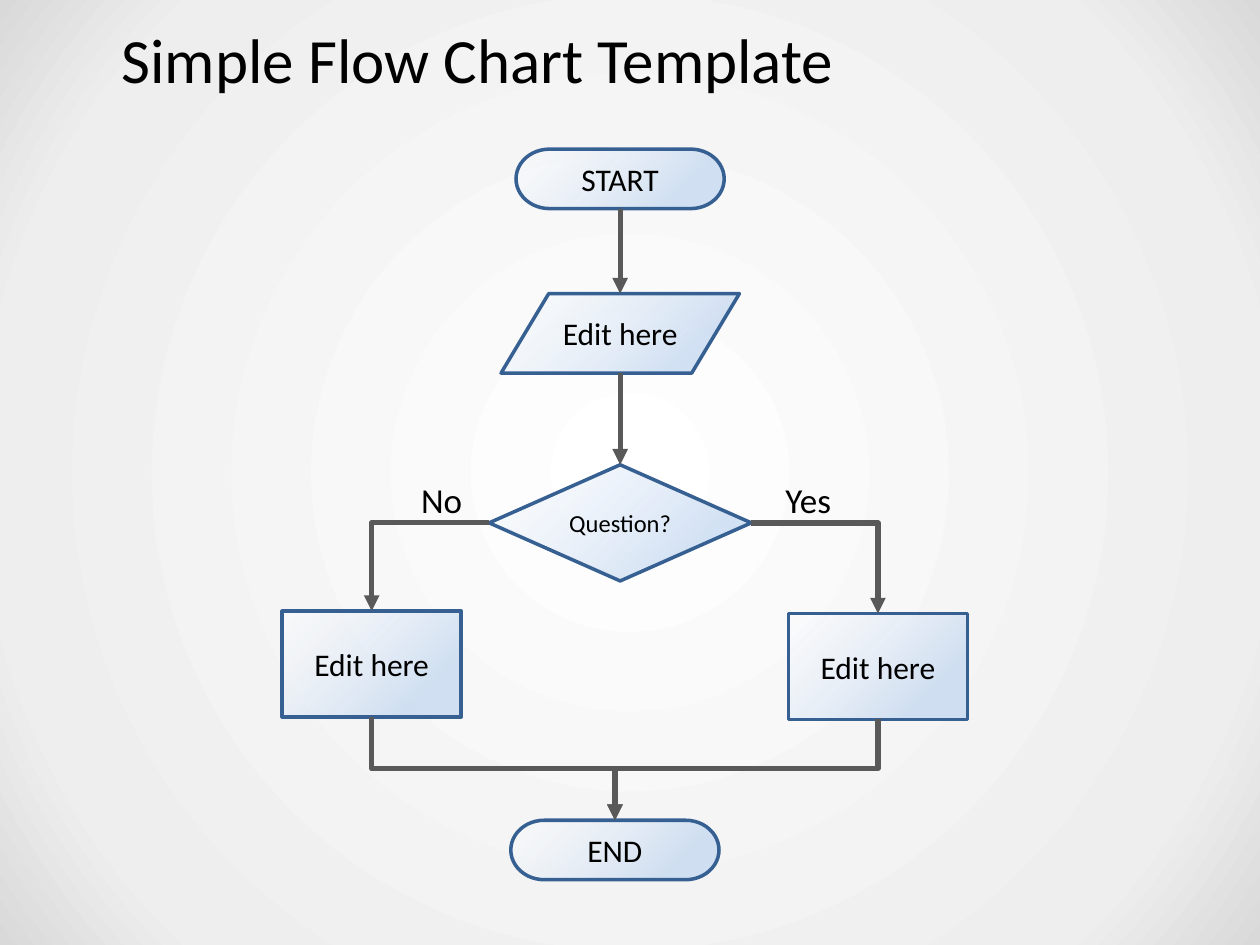
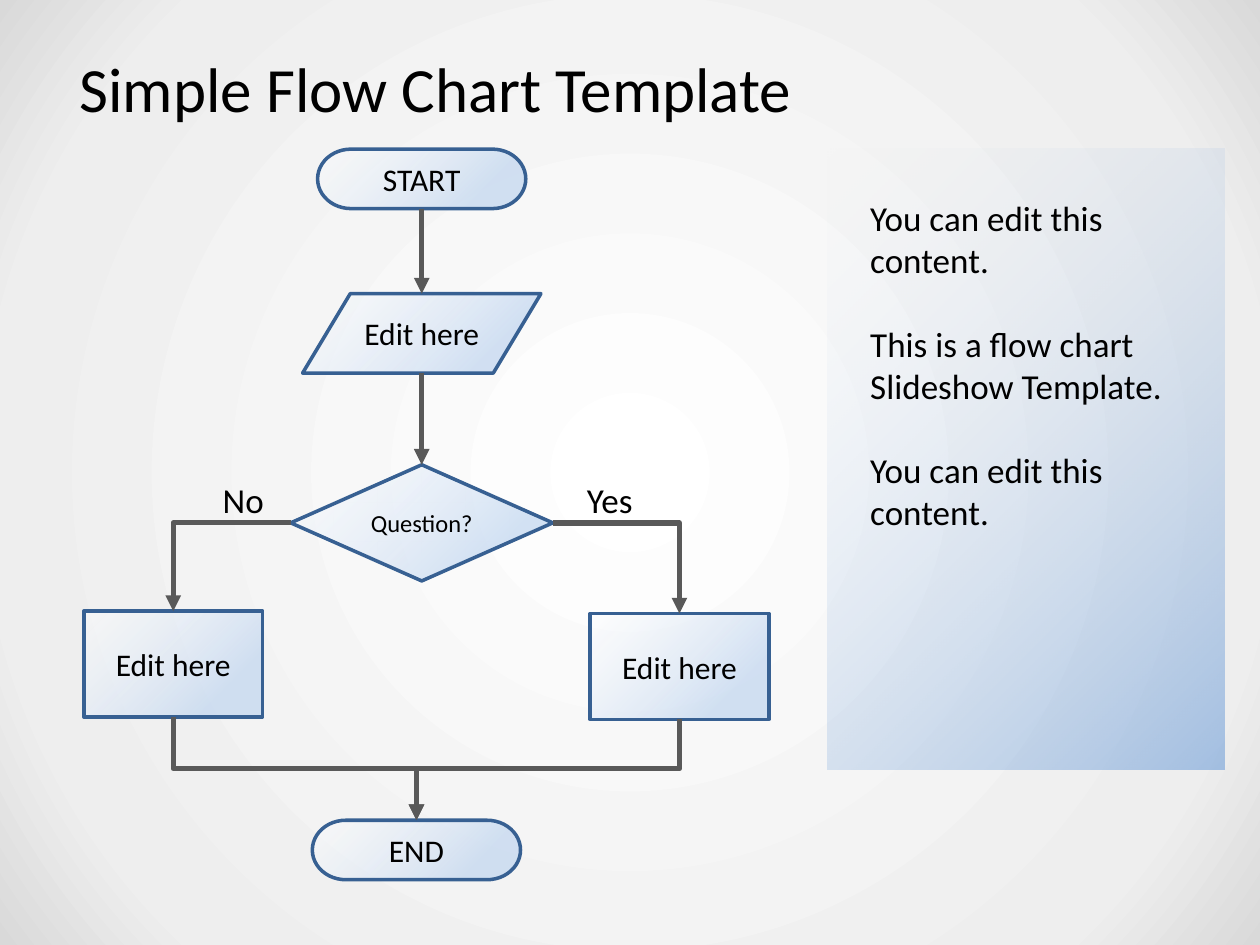
"""Build two slides with a simple flow chart, the second with a text panel."""
from lxml.etree import SubElement
from pptx import Presentation
from pptx.dml.color import RGBColor
from pptx.enum.shapes import MSO_CONNECTOR as Route, MSO_SHAPE as Preset
from pptx.enum.text import MSO_ANCHOR as Anchor, MSO_AUTO_SIZE as AutoSize, PP_ALIGN as Align
from pptx.oxml.ns import qn
from pptx.util import Pt

WHITE = RGBColor(0xFF, 0xFF, 0xFF)
BLACK = RGBColor(0x00, 0x00, 0x00)
MIST = RGBColor(0xEE, 0xEE, 0xEE)
SILVER = RGBColor(0xD9, 0xD9, 0xD9)
SKY = RGBColor(0xC6, 0xD9, 0xF1)
ICE = RGBColor(0xDC, 0xE6, 0xF2)
AZURE = RGBColor(0x55, 0x8E, 0xD5)
NAVY = RGBColor(0x37, 0x60, 0x92)
CHARCOAL = RGBColor(0x59, 0x59, 0x59)
FONT = "Calibri"
TITLE = "Simple Flow Chart Template"

BACKGROUND_STOPS = [(0, WHITE, 100), (81, MIST, 100), (100, SILVER, 100)]
NODE_STOPS = [(0, WHITE, 46), (77, SKY, 77)]
PANEL_STOPS = [(0, ICE, 0), (100, AZURE, 49)]

AXIS, LEFT_AXIS, RIGHT_AXIS, END_AXIS = 354.4, 212.4, 501.7, 351.4
QUESTION_MIDDLE, MERGE_LEVEL, END_TOP = 298.8, 439.2, 468.7

NODES = [
    ("Edit here", Preset.FLOWCHART_PROCESS, LEFT_AXIS, 349.2, 102.2, 60.5, 18),
    ("Question?", Preset.FLOWCHART_DECISION, AXIS, 265.6, 149.8, 66.4, 14),
    ("Edit here", Preset.FLOWCHART_DATA, AXIS, 167.8, 136.2, 45.4, 18),
    ("START", Preset.FLOWCHART_TERMINATOR, AXIS, 85.2, 119, 34, 18),
    ("END", Preset.FLOWCHART_TERMINATOR, END_AXIS, END_TOP, 119, 34, 18),
    ("Edit here", Preset.FLOWCHART_PROCESS, RIGHT_AXIS, 350.6, 102.2, 60.5, 18),
]
LABELS = [("No", 252.4), ("Yes", 461.9)]
ARROWS = [
    ("straight", AXIS, 119.2, AXIS, 167.8),
    ("straight", AXIS, 213.2, AXIS, 265.6),
    ("corner", 429.3, QUESTION_MIDDLE, RIGHT_AXIS, 350.6),
    ("corner", 279.5, QUESTION_MIDDLE, LEFT_AXIS, 349.2),
    ("merge", LEFT_AXIS, 409.7, END_AXIS, END_TOP),
    ("merge", RIGHT_AXIS, 411.1, END_AXIS, END_TOP),
]
PANEL_TEXT = [
    "You can edit this content.",
    "This is a flow chart Slideshow Template.",
    "You can edit this content.",
]


def set_gradient(fill, element, stops, angle=None, focus=None):
    fill.gradient()
    gradient = element.find(".//" + qn("a:gradFill"))
    for child in list(gradient):
        gradient.remove(child)
    stop_list = SubElement(gradient, qn("a:gsLst"))
    for position, color, opacity in stops:
        stop = SubElement(stop_list, qn("a:gs"), pos=str(position * 1000))
        tint = SubElement(stop, qn("a:srgbClr"), val=str(color))
        if opacity < 100:
            SubElement(tint, qn("a:alpha"), val=str(opacity * 1000))
    if focus is None:
        SubElement(gradient, qn("a:lin"), ang=str(angle * 60000), scaled="0")
    else:
        shade = SubElement(gradient, qn("a:path"), {"path": "circle"})
        edges = {side: str(share * 1000) for side, share in zip("ltrb", focus)}
        SubElement(shade, qn("a:fillToRect"), edges)


def add_text(para, text, size, align):
    para.alignment = align
    span = para.add_run()
    span.text = text
    span.font.name = FONT
    span.font.size = Pt(size)
    span.font.color.rgb = BLACK


deck = Presentation()
deck.slide_width, deck.slide_height = Pt(720), Pt(540)
master = deck.slide_master
set_gradient(master.background.fill, master.element, BACKGROUND_STOPS, focus=(50, 50, 50, 50))

for title_left, title_top, shift in [(60, 5, 0), (36, 21.6, -113.4)]:
    slide = deck.slides.add_slide(deck.slide_layouts[5])
    title = slide.shapes.title
    title.left, title.top, title.width, title.height = Pt(title_left), Pt(title_top), Pt(648), Pt(56.2)
    frame = title.text_frame
    frame.auto_size = AutoSize.NONE
    frame.vertical_anchor = Anchor.MIDDLE
    frame.margin_left = frame.margin_right = Pt(9.4)
    frame.margin_top = frame.margin_bottom = Pt(4.8)
    add_text(frame.paragraphs[0], TITLE, 36, Align.LEFT)

    for text, preset, center, top, width, height, size in NODES:
        left = center - width / 2 + shift
        node = slide.shapes.add_shape(preset, Pt(left), Pt(top), Pt(width), Pt(height))
        node.shadow.inherit = False
        set_gradient(node.fill, node.element, NODE_STOPS, angle=45)
        node.line.color.rgb = NAVY
        node.line.width = Pt(2)
        node.text_frame.vertical_anchor = Anchor.MIDDLE
        add_text(node.text_frame.paragraphs[0], text, size, Align.CENTER)

    for text, center in LABELS:
        label = slide.shapes.add_textbox(Pt(center - 28.4 + shift), Pt(270), Pt(56.8), Pt(31.5))
        label.text_frame.word_wrap = True
        add_text(label.text_frame.paragraphs[0], text, 20, Align.CENTER)

    for kind, start_x, start_y, end_x, end_y in ARROWS:
        route = Route.STRAIGHT if kind == "straight" else Route.ELBOW
        ends = [start_x, start_y, end_x, end_y]
        if kind == "merge":
            middle_x, middle_y = (start_x + end_x) / 2, (start_y + end_y) / 2
            run, drop = abs(end_x - start_x), end_y - start_y
            reach = -drop / 2 if end_x > start_x else drop / 2
            ends = [middle_x - reach, middle_y - run / 2, middle_x + reach, middle_y + run / 2]
        arrow = slide.shapes.add_connector(
            route, Pt(ends[0] + shift), Pt(ends[1]), Pt(ends[2] + shift), Pt(ends[3]))
        arrow.line.color.rgb = CHARCOAL
        arrow.line.width = Pt(3)
        properties = arrow.element.spPr
        SubElement(properties.find(qn("a:ln")), qn("a:tailEnd"), type="triangle")
        SubElement(properties, qn("a:effectLst"))
        geometry = properties.find(qn("a:prstGeom"))
        if kind == "corner":
            geometry.set("prst", "bentConnector2")
        if kind == "merge":
            turn = 270 if end_x > start_x else 90
            properties.find(qn("a:xfrm")).set("rot", str(turn * 60000))
            bend = round((MERGE_LEVEL - start_y) / drop * 100000)
            SubElement(geometry.find(qn("a:avLst")), qn("a:gd"), name="adj1", fmla=f"val {bend}")

panel = slide.shapes.add_shape(Preset.FLOWCHART_PROCESS, Pt(473), Pt(85), Pt(227), Pt(354.6))
panel.shadow.inherit = False
set_gradient(panel.fill, panel.element, PANEL_STOPS, focus=(0, 0, 100, 100))
panel.line.fill.background()

content = slide.shapes.add_textbox(Pt(490.2), Pt(108.8), Pt(193), Pt(201))
content.text_frame.word_wrap = True
for number, text in enumerate(PANEL_TEXT):
    para = content.text_frame.add_paragraph() if number else content.text_frame.paragraphs[0]
    para.space_before = Pt(24 if number else 0)
    add_text(para, text, 20, Align.LEFT)

deck.save("out.pptx")
